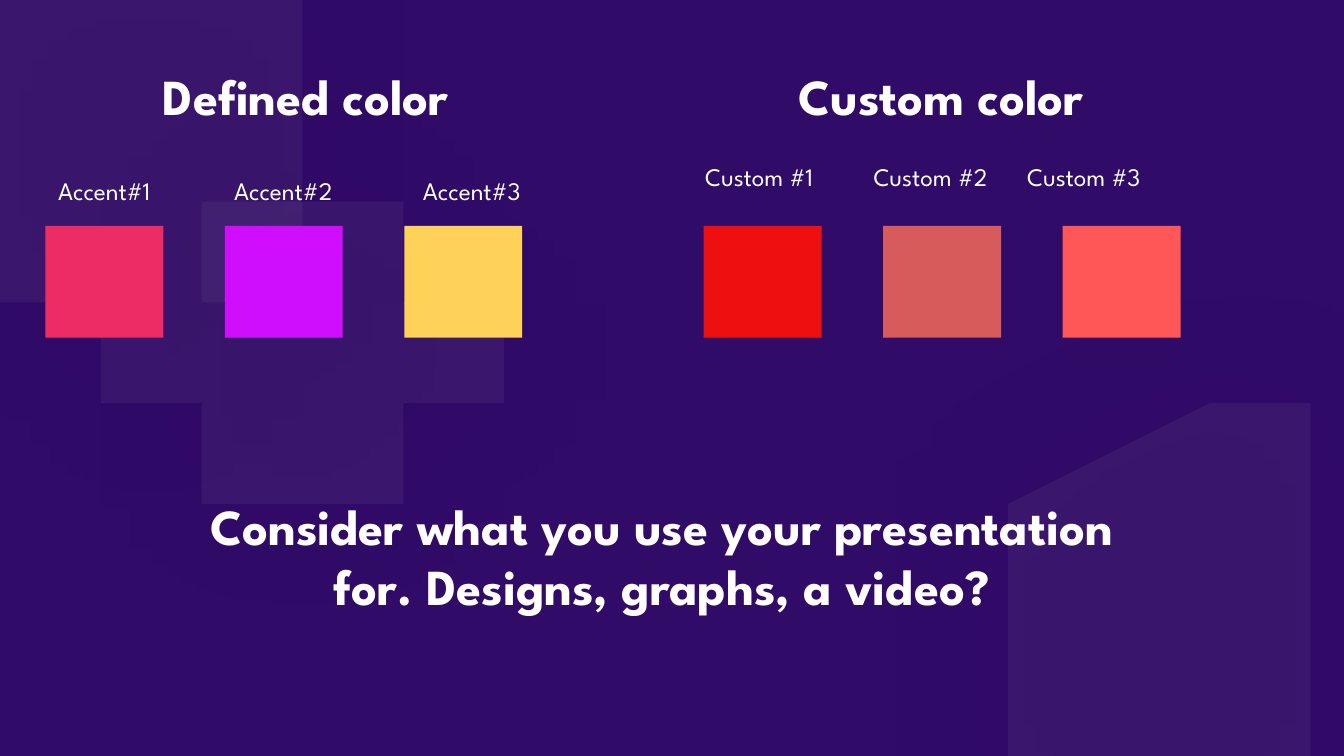
from pptx import Presentation
from pptx.dml.color import RGBColor
from pptx.enum.shapes import MSO_SHAPE
from pptx.enum.text import MSO_ANCHOR, MSO_AUTO_SIZE, PP_ALIGN
from pptx.oxml import parse_xml
from pptx.oxml.ns import nsdecls, qn
from pptx.util import Inches, Pt

WIDE, HIGH = 13.33, 7.5
deck = Presentation()
deck.slide_width, deck.slide_height = Inches(WIDE), Inches(HIGH)
slide = deck.slides.add_slide(deck.slide_layouts[5])
shapes = slide.shapes


def paint(fill, color):
    fill.solid()
    fill.fore_color.rgb = RGBColor.from_string(color)


def write(box, text, place, size, bold=False):
    """Place a text box or title and fill it with centred white text."""
    box.left, box.top, box.width, box.height = map(Inches, place)
    frame = box.text_frame
    frame.text = text
    frame.word_wrap = True
    frame.auto_size = MSO_AUTO_SIZE.SHAPE_TO_FIT_TEXT
    frame.vertical_anchor = MSO_ANCHOR.TOP
    line = frame.paragraphs[0]
    line.alignment = PP_ALIGN.CENTER
    font = line.runs[0].font
    font.name, font.size, font.bold = "League Spartan", Pt(size), bold
    font.color.rgb = RGBColor.from_string("FFFFFF")


paint(slide.background.fill, "310B68")

# Corner hexagon: straight points, and cubic curves as three points
parts = [
    [(3.19, 0)], [(0, 0)], [(0, 3.09)], [(0.67, 3.48)],
    [(0.96, 3.65), (1.32, 3.65), (1.6, 3.48)], [(2.87, 2.75)],
    [(3.15, 2.58), (3.33, 2.28), (3.33, 1.95)], [(3.33, 0.49)],
    [(3.33, 0.32), (3.29, 0.16), (3.21, 0.02)],
]
corner = []
for part in parts:
    if len(part) == 1:
        corner += part
        continue
    curve = [corner[-1]] + part
    for step in range(1, 13):
        t = step / 12
        mix = ((1 - t) ** 3, 3 * t * (1 - t) ** 2, 3 * t * t * (1 - t), t ** 3)
        corner.append(tuple(sum(m * p[axis] for m, p in zip(mix, curve))
                            for axis in (0, 1)))
turned = [(WIDE - x, HIGH - y) for x, y in corner]

# Middle hexagon: one quarter, mirrored around its centre
quarter = [(0, 1.62), (0.09, 1.61), (0.18, 1.57), (0.3, 1.5), (0.45, 1.41),
           (0.8, 1.2), (1.05, 1.06), (1.23, 0.96), (1.32, 0.9), (1.38, 0.84),
           (1.42, 0.75), (1.44, 0.62), (1.45, 0.43), (1.44, 0)]
middle = []
for right, down, order in ((1, -1, 1), (1, 1, -1), (-1, 1, 1), (-1, -1, -1)):
    middle += [(3.18 + right * x, 3.42 + down * y) for x, y in quarter[::order]]

for outline in (corner, middle, turned):
    path = shapes.build_freeform(*outline[0], scale=Inches(1))
    path.add_line_segments(outline[1:], close=True)
    hexagon = path.convert_to_shape()
    paint(hexagon.fill, "FFFFFF")
    hexagon.line.fill.background()
    hexagon.shadow.inherit = False
    props = hexagon._element.spPr
    props.find(".//" + qn("a:srgbClr")).append(
        parse_xml(f'<a:alpha {nsdecls("a")} val="5000"/>'))
    props.find(qn("a:effectLst")).append(parse_xml(
        f'<a:outerShdw {nsdecls("a")} blurRad="{Pt(100)}" dist="0" dir="0">'
        '<a:srgbClr val="000000"><a:alpha val="75000"/></a:srgbClr>'
        '</a:outerShdw>'))

# Heading and its left edge, first swatch, label top, then
# each swatch as label, label left, label width and colour
groups = [
    ("Defined color", 0.37, 0.45, 1.69, [
        ("Accent#1", 0.45, 1.17, "ED2B65"),
        ("Accent#2", 2.09, 1.44, "CE0EFC"),
        ("Accent#3", 3.96, 1.44, "FED159")]),
    ("Custom color", 6.67, 6.98, 1.55, [
        ("Custom #1", 6.68, 1.7, "EE1010"),
        ("Custom #2", 8.38, 1.7, "D75B5B"),
        ("Custom #3", 9.9, 1.7, "FF5757")]),
]
for heading, left, start, top, swatches in groups:
    write(shapes.add_textbox(0, 0, 0, 0), heading, (left, 0.6, 5.33, 0.71), 36, True)
    for i, (label, edge, width, color) in enumerate(swatches):
        swatch = shapes.add_shape(MSO_SHAPE.RECTANGLE, Inches(start + 1.78 * i),
                                  Inches(2.24), Inches(1.17), Inches(1.11))
        paint(swatch.fill, color)
        swatch.line.fill.background()
        swatch.shadow.inherit = False
        write(shapes.add_textbox(0, 0, 0, 0), label, (edge, top, width, 0.4), 18)

# The closing message is the title, brought in front of the hexagons
title = shapes.title
write(title, "Consider what you use your presentation for. Designs, graphs, a video?",
      (1.66, 4.86, 9.81, 1.31), 36, True)
title._element.getparent().append(title._element)

deck.save("out.pptx")
